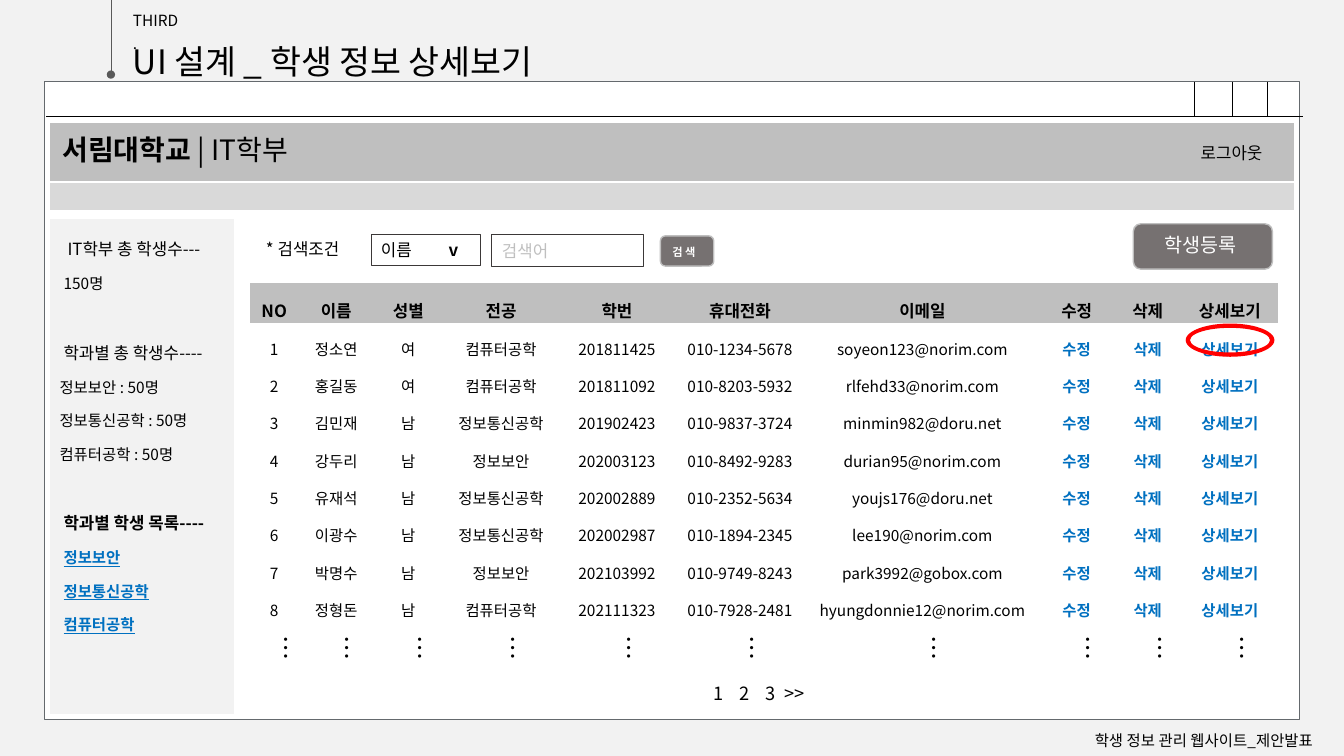
import dataclasses
import typing

import lxml.etree
import pptx
import pptx.dml.color
import pptx.enum.shapes
import pptx.enum.text
import pptx.oxml.ns
import pptx.util

Inches = pptx.util.Inches
Shape = pptx.enum.shapes.MSO_SHAPE
Align = pptx.enum.text.PP_ALIGN


@dataclasses.dataclass(frozen=True)
class Theme:
    font: str = "Noto Sans CJK KR"
    background: str = "F2F2F2"
    paper: str = "FFFFFF"
    ink: str = "000000"
    banner: str = "BFBFBF"
    menu: str = "D9D9D9"
    button: str = "767171"
    field: str = "3B3838"
    frame: str = "64696D"
    guide: str = "595959"
    link: str = "0070C0"
    mark: str = "FF0000"
    title: int = 24
    brand: int = 20
    dots: int = 18
    action: int = 14
    pager: int = 13
    label: int = 12
    body: int = 11
    small: int = 8


THEME = Theme()


@dataclasses.dataclass(frozen=True)
class Run:
    text: str
    size: int = THEME.label
    color: str = THEME.ink
    bold: bool = False
    underline: bool = False


@dataclasses.dataclass(frozen=True)
class Line:
    runs: tuple[Run, ...]
    spacing: float = 1.0
    align: typing.Any = Align.LEFT
    indent: float = 0
    before: int = 0
    tabs: tuple[float, ...] = ()


@dataclasses.dataclass(frozen=True)
class Box:
    left: float
    top: float
    width: float
    height: float

    def lengths(self) -> list[int]:
        """Return the four lengths of the box."""
        return [Inches(value) for value in dataclasses.astuple(self)]


@dataclasses.dataclass(frozen=True)
class Label:
    box: Box
    line: Line
    wrap: bool = True
    vertical: bool = False


@dataclasses.dataclass(frozen=True)
class Rule:
    start: tuple[float, float]
    end: tuple[float, float]
    color: str = THEME.ink
    weight: float = 0.5
    oval: bool = False


@dataclasses.dataclass(frozen=True)
class Panel:
    box: Box
    fill: str | None = None
    lines: tuple[Line, ...] = ()
    border: bool = True


def rgb(color: str) -> pptx.dml.color.RGBColor:
    """Turn a hex string into a colour."""
    return pptx.dml.color.RGBColor.from_string(color)


def add_element(parent: typing.Any, tag: str, **attributes: str) -> typing.Any:
    """Append a drawing element to a parent."""
    return lxml.etree.SubElement(parent, pptx.oxml.ns.qn(tag), attributes)


def write(frame: typing.Any, lines: typing.Sequence[Line]) -> None:
    """Write lines run by run into a text frame."""
    for index, line in enumerate(lines):
        paragraph = frame.add_paragraph() if index else frame.paragraphs[0]
        paragraph.alignment = line.align
        paragraph.line_spacing = line.spacing
        paragraph.space_before = pptx.util.Pt(line.before)
        properties = paragraph._p.get_or_add_pPr()
        properties.set("marL", str(Inches(line.indent)))
        if line.tabs:
            stops = add_element(properties, "a:tabLst")
            for position in line.tabs:
                add_element(stops, "a:tab", pos=str(Inches(position)), algn="l")
        for item in line.runs:
            run = paragraph.add_run()
            run.text = item.text
            run.font.size = pptx.util.Pt(item.size)
            run.font.bold = item.bold
            run.font.underline = item.underline
            run.font.color.rgb = rgb(item.color)
            run.font.name = THEME.font
            add_element(run._r.get_or_add_rPr(), "a:ea", typeface=THEME.font)


def add_label(shapes: typing.Any, label: Label) -> None:
    """Add a text box that fits its text."""
    frame = shapes.add_textbox(*label.box.lengths()).text_frame
    frame.word_wrap = label.wrap
    frame.auto_size = pptx.enum.text.MSO_AUTO_SIZE.SHAPE_TO_FIT_TEXT
    if label.vertical:
        frame._txBody.bodyPr.set("vert", "eaVert")
    write(frame, [label.line])


def add_figure(shapes: typing.Any, kind: typing.Any, box: Box, fill: str | None = None,
               outline: str | None = None, weight: float = 1) -> typing.Any:
    """Add a flat preset shape."""
    shape = shapes.add_shape(kind, *box.lengths())
    shape.shadow.inherit = False
    if fill:
        shape.fill.solid()
        shape.fill.fore_color.rgb = rgb(fill)
    else:
        shape.fill.background()
    if outline:
        shape.line.color.rgb = rgb(outline)
        shape.line.width = pptx.util.Pt(weight)
    else:
        shape.line.fill.background()
    return shape


def add_rule(shapes: typing.Any, rule: Rule) -> None:
    """Add a straight line."""
    ends = [Inches(value) for value in rule.start + rule.end]
    connector = shapes.add_connector(pptx.enum.shapes.MSO_CONNECTOR.STRAIGHT, *ends)
    connector.line.color.rgb = rgb(rule.color)
    connector.line.width = pptx.util.Pt(rule.weight)
    if rule.oval:
        add_element(connector.line._get_or_add_ln(), "a:tailEnd", type="oval")
    add_element(connector._element.spPr, "a:effectLst")


def add_button(shapes: typing.Any, box: Box, label: Label) -> None:
    """Add a rounded button grouped with its caption."""
    group = shapes.add_group_shape()
    add_figure(group.shapes, Shape.ROUNDED_RECTANGLE, box, THEME.button, THEME.banner)
    add_label(group.shapes, label)


def add_grid(shapes: typing.Any, box: Box, rows: int, columns: int) -> typing.Any:
    """Add a table without style or banding."""
    table = shapes.add_table(rows, columns, *box.lengths()).table
    table.first_row = table.horz_banding = False
    style = table._tbl.tblPr.find(pptx.oxml.ns.qn("a:tableStyleId"))
    style.text = "{2D5ABB26-0587-4C30-8999-92F81FD0307C}"
    return table


def fill_cell(cell: typing.Any, fill: str | None, lines: typing.Sequence[Line]) -> None:
    """Set the fill and the text of a cell."""
    if fill:
        cell.fill.solid()
        cell.fill.fore_color.rgb = rgb(fill)
    else:
        cell.fill.background()
    write(cell.text_frame, lines)
    if not lines:
        cell.margin_top = cell.margin_bottom = 0
        add_element(cell.text_frame.paragraphs[0]._p, "a:endParaRPr", sz=str(THEME.body * 100))


def add_panel(shapes: typing.Any, panel: Panel) -> None:
    """Add a table of one cell."""
    cell = add_grid(shapes, panel.box, 1, 1).cell(0, 0)
    if panel.border:
        for side, weight in (("L", 1), ("R", 1), ("T", 1), ("B", 3)):
            edge = add_element(cell._tc.get_or_add_tcPr(), f"a:ln{side}", w=str(pptx.util.Pt(weight)))
            add_element(add_element(edge, "a:solidFill"), "a:srgbClr", val=THEME.paper)
    fill_cell(cell, panel.fill, panel.lines)


HEADERS = ("NO", "이름", "성별", "전공", "학번", "휴대전화", "이메일", "수정", "삭제", "상세보기")
WIDTHS = (0.48, 0.75, 0.68, 1.16, 1.14, 1.3, 2.32, 0.74, 0.67, 0.96)
STUDENTS = (
    ("정소연", "여", "컴퓨터공학", "201811425", "010-1234-5678", "soyeon123@norim.com"),
    ("홍길동", "여", "컴퓨터공학", "201811092", "010-8203-5932", "rlfehd33@norim.com"),
    ("김민재", "남", "정보통신공학", "201902423", "010-9837-3724", "minmin982@doru.net"),
    ("강두리", "남", "정보보안", "202003123", "010-8492-9283", "durian95@norim.com"),
    ("유재석", "남", "정보통신공학", "202002889", "010-2352-5634", "youjs176@doru.net"),
    ("이광수", "남", "정보통신공학", "202002987", "010-1894-2345", "lee190@norim.com"),
    ("박명수", "남", "정보보안", "202103992", "010-9749-8243", "park3992@gobox.com"),
    ("정형돈", "남", "컴퓨터공학", "202111323", "010-7928-2481", "hyungdonnie12@norim.com"),
)
DEPARTMENTS = ("정보보안", "정보통신공학", "컴퓨터공학")
SIDEBAR = (
    Line((Run("IT학부 총 학생수---"),), 1.5, indent=0.08),
    Line((Run("150명", THEME.body),), 1.5, indent=0.04),
    Line((Run("학과별 총 학생수----"),), 1.5, indent=0.04, before=24),
    *(Line((Run(f"{name} : 50명", THEME.body),), 1.5) for name in DEPARTMENTS),
    Line((Run("학과별 학생 목록----", bold=True),), 1.5, indent=0.04, before=24),
    *(Line((Run(name, THEME.body, THEME.link, True, True),), 1.5, indent=0.04) for name in DEPARTMENTS),
)


def add_students(shapes: typing.Any, box: Box) -> None:
    """Add the student table and the dots below its columns."""
    rows = [HEADERS, *((str(number), *student, *HEADERS[-3:])
                       for number, student in enumerate(STUDENTS, 1)), ("",) * len(HEADERS)]
    table = add_grid(shapes, box, len(rows), len(HEADERS))
    for index, values in enumerate(rows):
        header = index == 0
        table.rows[index].height = Inches(0.39 if header else 0.37)
        for column, value in enumerate(values):
            cell = table.cell(index, column)
            cell.margin_left = cell.margin_right = Inches(0.05)
            cell.margin_top, cell.margin_bottom = Inches(0.03), 0
            cell.vertical_anchor = pptx.enum.text.MSO_ANCHOR.BOTTOM
            link = not header and column >= len(HEADERS) - 3
            run = Run(value, THEME.label if header else THEME.body,
                      THEME.link if link else THEME.ink, header or link)
            fill_cell(cell, THEME.banner if header else None,
                      [Line((run,), 1.5, Align.CENTER)] if value else [])
    for column, width in enumerate(WIDTHS):
        table.columns[column].width = Inches(width)
        left = box.left + sum(WIDTHS[:column]) + width / 2 - 0.18
        add_label(shapes, Label(Box(round(left, 2), 6.21, 0.5, 0.42),
                                Line((Run("…", THEME.dots),)), vertical=True))


def build() -> None:
    """Build the slide and save it."""
    presentation = pptx.Presentation()
    presentation.slide_width, presentation.slide_height = Inches(13.33), Inches(7.5)
    slide = presentation.slides.add_slide(presentation.slide_layouts[6])
    slide.background.fill.solid()
    slide.background.fill.fore_color.rgb = rgb(THEME.background)
    shapes = slide.shapes
    for box, text, size in (
        (Box(1.22, 0.02, 0.65, 0.33), "THIRD.", THEME.body),
        (Box(1.22, 0.26, 4.64, 0.55), "UI 설계 _ 학생 정보 상세보기", THEME.title),
        (Box(10.76, 7.16, 2.59, 0.31), "학생 정보 관리 웹사이트_제안발표", THEME.body),
    ):
        add_label(shapes, Label(box, Line((Run(text, size),), 1.24), wrap=False))
    add_rule(shapes, Rule((1.1, 0), (1.1, 0.74), THEME.guide, 0.25, True))
    add_figure(shapes, Shape.RECTANGLE, Box(0.44, 0.81, 12.45, 6.33), THEME.paper, THEME.frame)
    add_rule(shapes, Rule((0.46, 1.15), (12.92, 1.15)))
    for left in (11.85, 12.22, 12.57):
        add_rule(shapes, Rule((left, 0.81), (left, 1.15)))
    for panel in (
        Panel(Box(0.49, 1.21, 12.35, 0.6), THEME.banner),
        Panel(Box(11.76, 1.34, 0.91, 0.3), None, (Line((Run("로그아웃"),), align=Align.CENTER),), False),
        Panel(Box(0.49, 1.81, 12.35, 0.29), THEME.menu),
        Panel(Box(0.49, 2.17, 1.84, 4.93), THEME.background, SIDEBAR),
    ):
        add_panel(shapes, panel)
    brand = Line((Run("서림대학교 ", THEME.brand, bold=True), Run("| IT학부", THEME.brand)))
    add_label(shapes, Label(Box(0.52, 1.27, 4.51, 0.44), brand))
    add_label(shapes, Label(Box(2.54, 2.32, 1.04, 0.31), Line((Run("* 검색조건"),))))
    for box, line in (
        (Box(3.68, 2.33, 1.09, 0.3), Line((Run("이름\t"), Run("v", bold=True)), tabs=(0.67,))),
        (Box(4.88, 2.33, 1.5, 0.31), Line((Run("검색어", color=THEME.banner),))),
    ):
        field = add_figure(shapes, Shape.RECTANGLE, box, outline=THEME.field, weight=0.75)
        write(field.text_frame, [line])
    add_button(shapes, Box(11.24, 2.22, 1.38, 0.45), Label(
        Box(11.45, 2.26, 1.03, 0.34), Line((Run("학생등록", THEME.action, THEME.paper),))))
    add_button(shapes, Box(6.55, 2.34, 0.53, 0.3), Label(
        Box(6.57, 2.38, 0.65, 0.24), Line((Run("검 색", THEME.small, THEME.paper, True),))))
    add_students(shapes, Box(2.48, 2.81, 10.19, 3.72))
    pages = Line((Run("1\t2\t3\t>>", THEME.pager),), tabs=(0.26, 0.51, 0.7))
    add_label(shapes, Label(Box(6.98, 6.72, 1.71, 0.32), pages))
    ring = add_figure(shapes, Shape.DONUT, Box(11.76, 3.21, 0.88, 0.33), THEME.mark)
    ring.adjustments[0] = 0.13
    presentation.save("out.pptx")


if __name__ == "__main__":
    build()
